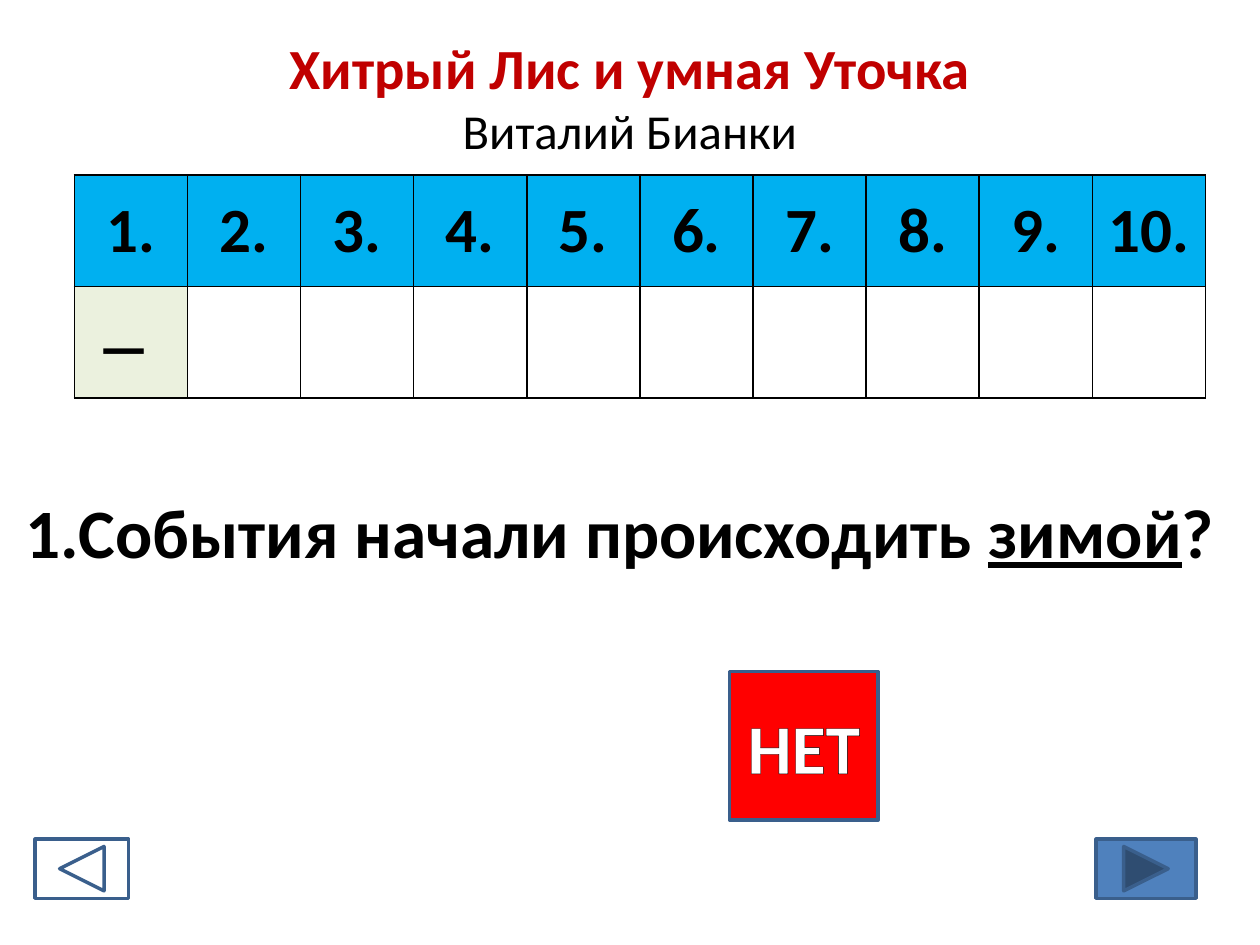
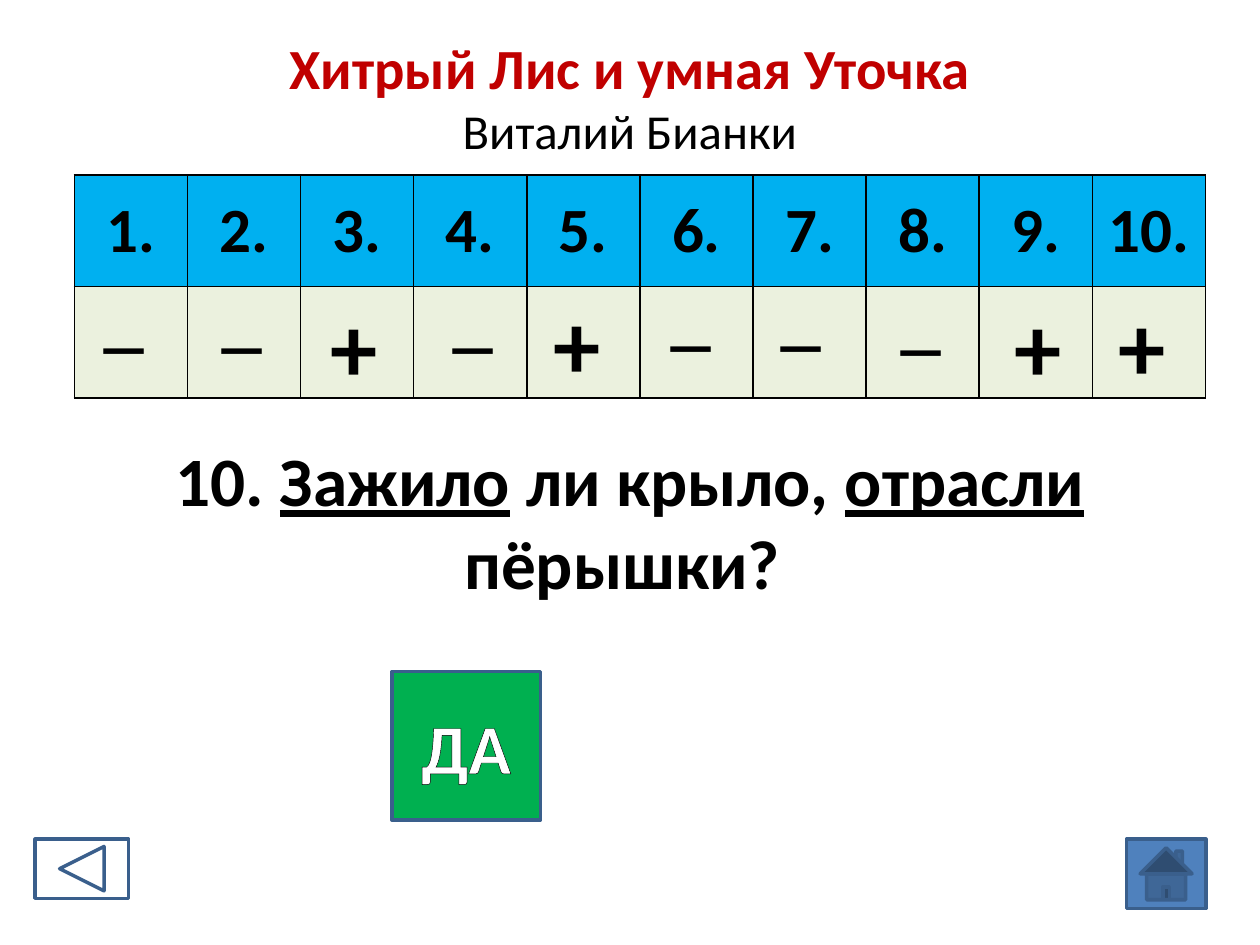
from dataclasses import dataclass

from lxml import etree
from pptx import Presentation
from pptx.dml.color import RGBColor
from pptx.enum.shapes import MSO_SHAPE
from pptx.enum.text import MSO_ANCHOR, MSO_AUTO_SIZE, PP_ALIGN
from pptx.oxml.ns import qn
from pptx.util import Inches, Pt

RECTANGLE = MSO_SHAPE.RECTANGLE
BACK = MSO_SHAPE.ACTION_BUTTON_BACK_OR_PREVIOUS
FORWARD = MSO_SHAPE.ACTION_BUTTON_FORWARD_OR_NEXT
HOME = MSO_SHAPE.ACTION_BUTTON_HOME
MIDDLE = MSO_ANCHOR.MIDDLE
CENTER = PP_ALIGN.CENTER
NO_AUTOFIT = MSO_AUTO_SIZE.NONE
TITLE_ONLY = 5


@dataclass(frozen=True)
class Theme:
    """Colours, type sizes and font shared by the slides."""
    font: str = "Calibri"
    black: str = "000000"
    white: str = "FFFFFF"
    title: str = "C00000"
    header: str = "00B0F0"
    answered: str = "EBF1DE"
    yes: str = "00B050"
    no: str = "FF0000"
    button: str = "4F81BD"
    outline: str = "3A5F8C"
    title_size: float = 32.4
    author_size: float = 27.9
    question_size: float = 39.6
    header_size: float = 36
    answer_size: float = 40
    minus_size: float = 36
    plus_size: float = 54
    space_size: float = 18


theme = Theme()


def write(frame, parts, size, color=theme.black, bold=True, outline=None):
    """Add centred runs; each part is a text and a dict of its own format."""
    frame.word_wrap = True
    paragraph = frame.paragraphs[0]
    paragraph.alignment = CENTER
    for text, own in parts:
        if text == "\n":
            paragraph.add_line_break()
            continue
        run = paragraph.add_run()
        run.text = text
        run.font.name = theme.font
        run.font.size = Pt(own.get("size", size))
        run.font.bold = own.get("bold", bold)
        run.font.underline = own.get("underline", False)
        run.font.color.rgb = RGBColor.from_string(own.get("color", color))
        if outline:
            line = etree.Element(qn("a:ln"), w=str(Pt(0.75)))
            fill = etree.SubElement(line, qn("a:solidFill"))
            etree.SubElement(fill, qn("a:srgbClr"), val=outline)
            run.font._element.insert(0, line)


def add_box(slide, preset, box, fill=None):
    """Add an outlined preset shape, or a plain text box if preset is None."""
    lengths = [Inches(length) for length in box]
    if preset is None:
        shape = slide.shapes.add_textbox(*lengths)
        shape.text_frame.auto_size = NO_AUTOFIT
    else:
        shape = slide.shapes.add_shape(preset, *lengths)
        shape.shadow.inherit = False
        shape.line.color.rgb = RGBColor.from_string(theme.outline)
        shape.line.width = Pt(2)
        if fill:
            shape.fill.solid()
            shape.fill.fore_color.rgb = RGBColor.from_string(fill)
        else:
            shape.fill.background()
    shape.text_frame.vertical_anchor = MIDDLE
    return shape


UNDERLINED = {"underline": True}
QUESTIONS = [
    {
        "question": [("1.События начали происходить ", {}), ("зимой", UNDERLINED),
                     ("? ", {})],
        "question_box": (0.04, 3.59, 9.88, 1.24),
        "marks": [("―", 0.66, 2.38)],
        "answer": ("НЕТ", 5.79, theme.no),
        "next": (FORWARD, (8.7, 6.66, 0.79, 0.47)),
    },
    {
        "question": [("10. ", {}), ("Зажило", UNDERLINED), (" ли крыло, ", {}),
                     ("отрасли", UNDERLINED), (" пёрышки? ", {})],
        "question_box": (0.51, 3.51, 8.98, 1.24),
        "marks": [("―", 0.66, 2.38), ("―", 1.59, 2.38), ("+", 2.48, 2.38),
                  ("―", 3.43, 2.38), ("+", 4.25, 2.36), ("―", 5.16, 2.36),
                  ("―", 6.03, 2.36), ("―", 6.98, 2.39), ("+", 7.91, 2.38),
                  ("+", 8.74, 2.37)],
        "answer": ("ДА", 3.11, theme.yes),
        "next": (HOME, (8.94, 6.66, 0.63, 0.55)),
    },
]
COLUMNS = 10
MARK_SIZES = {"―": theme.minus_size, "+": theme.plus_size}

presentation = Presentation()
presentation.slide_width = Inches(10)
presentation.slide_height = Inches(7.5)

for item in QUESTIONS:
    slide = presentation.slides.add_slide(presentation.slide_layouts[TITLE_ONLY])

    title = slide.shapes.title
    title.left, title.top = Inches(0.51), Inches(0.3)
    title.width, title.height = Inches(8.98), Inches(0.93)
    title.text_frame.auto_size = NO_AUTOFIT
    title.text_frame.vertical_anchor = MIDDLE
    write(title.text_frame,
          [("Хитрый Лис и умная Уточка", {}), ("\n", {}),
           ("Виталий Бианки",
            {"size": theme.author_size, "color": theme.black, "bold": False})],
          size=theme.title_size, color=theme.title)

    # Score table: numbers above, answered cells tinted below
    table = slide.shapes.add_table(2, COLUMNS, Inches(0.59), Inches(1.39),
                                   Inches(8.98), Inches(1.77)).table
    table.first_row = table.horz_banding = False
    for column in range(COLUMNS):
        header, score = table.cell(0, column), table.cell(1, column)
        write(header.text_frame, [(f"{column + 1}.", {})], size=theme.header_size)
        answered = column < len(item["marks"])
        for cell, fill in ((header, theme.header),
                           (score, theme.answered if answered else None)):
            cell.vertical_anchor = MIDDLE
            if fill:
                cell.fill.solid()
                cell.fill.fore_color.rgb = RGBColor.from_string(fill)
            else:
                cell.fill.background()
            properties = cell._tc.get_or_add_tcPr()
            for index, side in enumerate(("lnL", "lnR", "lnT", "lnB")):
                border = etree.Element(qn(f"a:{side}"), w=str(Pt(1)))
                border_fill = etree.SubElement(border, qn("a:solidFill"))
                etree.SubElement(border_fill, qn("a:srgbClr"), val=theme.black)
                properties.insert(index, border)

    for sign, left, top in item["marks"]:
        mark = add_box(slide, None, (left, top, 0.71, 0.71))
        write(mark.text_frame,
              [(sign, {}), (" ", {"size": theme.space_size, "bold": False})],
              size=MARK_SIZES[sign])

    question = add_box(slide, None, item["question_box"])
    write(question.text_frame, item["question"], size=theme.question_size)

    word, left, color = item["answer"]
    answer = add_box(slide, RECTANGLE, (left, 5.33, 1.18, 1.18), color)
    write(answer.text_frame, [(word, {})], size=theme.answer_size,
          color=theme.white, outline=theme.black)

    add_box(slide, BACK, (0.28, 6.66, 0.74, 0.47))
    preset, box = item["next"]
    add_box(slide, preset, box, theme.button)

presentation.save("out.pptx")
